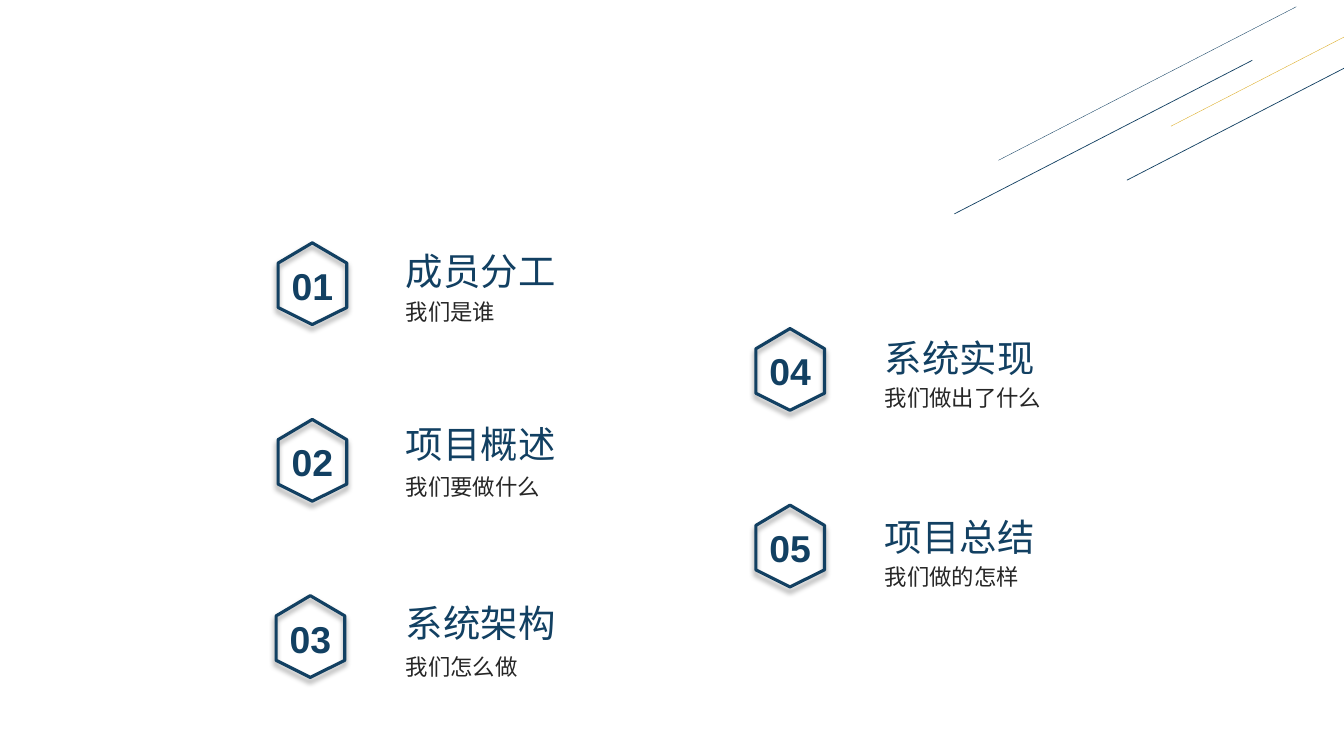
import pptx
import pptx.util
import pptx.dml.color
import pptx.enum.shapes
import pptx.enum.text
import pptx.oxml.ns
from lxml import etree
from dataclasses import dataclass

Cm = pptx.util.Cm
Pt = pptx.util.Pt
RGB = pptx.dml.color.RGBColor.from_string
qn = pptx.oxml.ns.qn
PP_ALIGN = pptx.enum.text.PP_ALIGN


@dataclass(frozen=True)
class Theme:
    navy: str = "124062"
    gold: str = "DCAA1F"
    ink: str = "262626"
    shadow: str = "000000"
    title_size: float = 26.7
    note_size: float = 16
    number_font: str = "Arial"
    text_font: str = "Noto Sans CJK SC"


theme = Theme()


def add_text(s, text, left, top, width, height, size, color, font, wrap):
    sp = s.shapes.add_textbox(Cm(left), Cm(top), Cm(width), Cm(height))
    tf = sp.text_frame
    tf.word_wrap = wrap
    tf.auto_size = pptx.enum.text.MSO_AUTO_SIZE.SHAPE_TO_FIT_TEXT
    p = tf.paragraphs[0]
    r = p.add_run()
    r.text = text
    r.font.size = Pt(size)
    r.font.name = font
    r.font.color.rgb = RGB(color)
    etree.SubElement(r._r.get_or_add_rPr(), qn("a:ea"), typeface=font)
    return p


prs = pptx.Presentation()
prs.slide_width = Cm(33.87)
prs.slide_height = Cm(19.05)
s = prs.slides.add_slide(prs.slide_layouts[6])

stripes = [
    (24.05, 5.39, theme.navy, 0.5),
    (25.16, 4.04, theme.navy, 0.25),
    (28.4, 4.54, theme.navy, 0.5),
    (29.51, 3.18, theme.gold, 0.25),
]
for x, y, color, weight in stripes:
    line = s.shapes.add_connector(
        pptx.enum.shapes.MSO_CONNECTOR.STRAIGHT,
        Cm(x), Cm(y), Cm(x + 7.51), Cm(y - 3.87))
    line.line.color.rgb = RGB(color)
    line.line.width = Pt(weight)
    etree.SubElement(line._element.spPr, qn("a:effectLst"))

hexagon = [(0.86, 0), (1.73, 0.51), (1.73, 1.63), (0.86, 2.06), (0, 1.63), (0, 0.51)]
agenda = [
    ("01", "成员分工", "我们是谁", 7.01, 6.12, 9.98, 6.12, 7.39),
    ("02", "项目概述", "我们要做什么", 7.01, 10.57, 9.98, 10.49, 11.79),
    ("03", "系统架构", "我们怎么做", 6.96, 15.01, 9.98, 15.01, 16.33),
    ("04", "系统实现", "我们做出了什么", 19.05, 8.28, 22.05, 8.33, 9.55),
    ("05", "项目总结", "我们做的怎样", 19.05, 12.73, 22.05, 12.83, 14.07),
]
for number, title, note, hex_x, hex_y, text_x, title_y, note_y in agenda:
    corners = [(Cm(hex_x + dx), Cm(hex_y + dy)) for dx, dy in hexagon]
    builder = s.shapes.build_freeform(*corners[0])
    builder.add_line_segments(corners[1:], close=True)
    sp = builder.convert_to_shape()
    sp.fill.background()
    sp.line.color.rgb = RGB(theme.navy)
    sp.line.width = Pt(2.25)
    effects = etree.SubElement(sp._element.spPr, qn("a:effectLst"))
    shadow = etree.SubElement(
        effects, qn("a:outerShdw"), blurRad=str(Pt(4)), dist=str(Pt(3)),
        dir="5400000", algn="t", rotWithShape="0")
    tint = etree.SubElement(shadow, qn("a:srgbClr"), val=theme.shadow)
    etree.SubElement(tint, qn("a:alpha"), val="40000")

    p = add_text(s, number, hex_x + 0.08, hex_y + 0.38, 1.57, 1.4,
                 theme.title_size, theme.navy, theme.number_font, False)
    p.alignment = PP_ALIGN.CENTER
    p.runs[0].font.bold = True
    add_text(s, title, text_x, title_y, 6.63, 1.4,
             theme.title_size, theme.navy, theme.text_font, True)
    add_text(s, note, text_x, note_y, 0.51 + 0.57 * len(note), 0.94,
             theme.note_size, theme.ink, theme.text_font, False)

prs.save("out.pptx")
